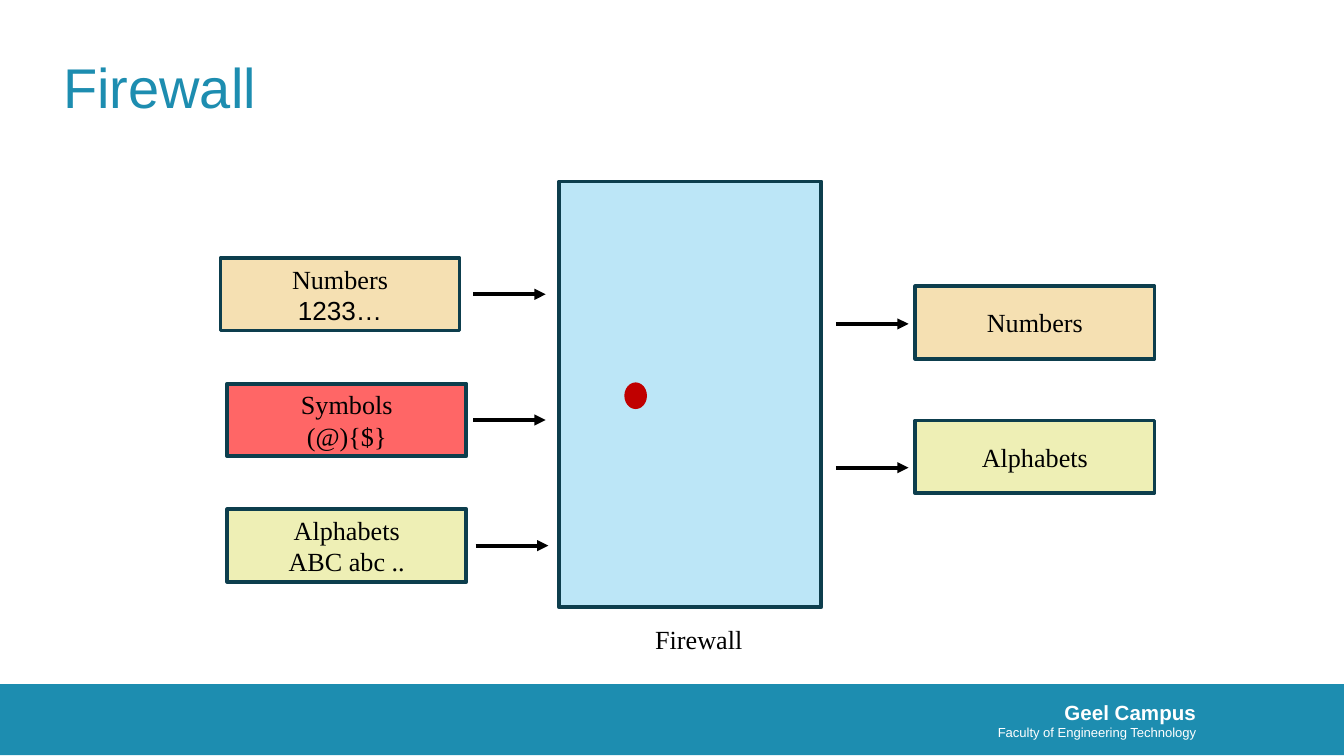
from lxml import etree
from pptx import Presentation
from pptx.dml.color import RGBColor
from pptx.enum import shapes, text
from pptx.oxml import ns
from pptx.util import Inches, Pt

WHITE = RGBColor(0xFF, 0xFF, 0xFF)
BLACK = RGBColor(0, 0, 0)
TEAL = RGBColor(0x1D, 0x8D, 0xB0)
OUTLINE = RGBColor(0x0D, 0x3E, 0x4D)
SKY = RGBColor(0xBA, 0xE5, 0xF7)
SAND = RGBColor(0xF5, 0xDF, 0xAF)
RED = RGBColor(0xFF, 0, 0)
LIME = RGBColor(0xEE, 0xEF, 0xB3)
DARK_RED = RGBColor(0xC0, 0, 0)
SANS, SERIF = "Arial", "Times New Roman"
BOX_W, BOX_H = 1.78, 0.54
ARROW_LENGTH = 0.54


def add_child(parent, tag, **attributes):
    return etree.SubElement(parent, ns.qn(tag), **attributes)


def write(frame, lines, align, color):
    """Each line is (wording, font name, size, bold)."""
    for i, (wording, name, size, bold) in enumerate(lines):
        paragraph = frame.paragraphs[0] if i == 0 else frame.add_paragraph()
        paragraph.text = wording
        paragraph.alignment = align
        font = paragraph.font
        font.name, font.size, font.bold = name, Pt(size), bold
        font.color.rgb = color


def set_margins(frame, right=0):
    frame.margin_left = frame.margin_top = frame.margin_bottom = 0
    frame.margin_right = Inches(right)


def add_box(slide, box, fill, line=None, opacity=100,
            kind=shapes.MSO_SHAPE.RECTANGLE):
    shape = slide.shapes.add_shape(kind, *map(Inches, box))
    shape.shadow.inherit = False
    shape.fill.solid()
    shape.fill.fore_color.rgb = fill
    if opacity < 100:
        color = shape.fill._xPr.find(".//" + ns.qn("a:srgbClr"))
        add_child(color, "a:alpha", val=str(opacity * 1000))
    if line is None:
        shape.line.fill.background()
    else:
        shape.line.color.rgb = line
        shape.line.width = Pt(2)
    return shape


def add_text(slide, box, lines, align, color):
    label = slide.shapes.add_textbox(*map(Inches, box))
    label.text_frame.word_wrap = True
    write(label.text_frame, lines, align, color)
    return label.text_frame


def add_arrow(slide, left, y):
    arrow = slide.shapes.add_connector(
        shapes.MSO_CONNECTOR.STRAIGHT, Inches(left), Inches(y),
        Inches(left + ARROW_LENGTH), Inches(y))
    arrow.line.color.rgb = BLACK
    arrow.line.width = Pt(2)
    add_child(arrow.line._get_or_add_ln(), "a:tailEnd", type="triangle")
    add_child(arrow._element.spPr, "a:effectLst")


def add_data_box(slide, left, top, fill, lines, opacity=96):
    data = add_box(slide, (left, top, BOX_W, BOX_H), fill, OUTLINE, opacity)
    frame = data.text_frame
    frame.word_wrap = True
    frame.vertical_anchor = text.MSO_ANCHOR.MIDDLE
    write(frame, [(wording, name, 14, False) for wording, name in lines],
          text.PP_ALIGN.CENTER, BLACK)


def add_footer(slide, left, top, width, height):
    add_box(slide, (left, top, width, height), TEAL)
    campus = add_text(slide, (left + 4.28, top - 0.01, 4.77, 0.55),
                      [("Geel Campus", SANS, 11, True),
                       ("Faculty of Engineering Technology", SANS, 7, False)],
                      text.PP_ALIGN.RIGHT, WHITE)
    set_margins(campus, right=0.15)
    campus.vertical_anchor = text.MSO_ANCHOR.MIDDLE


def add_title(slide, left, top, width, height):
    title = slide.shapes.title
    title.left, title.top = Inches(left), Inches(top)
    title.width, title.height = Inches(width), Inches(height)
    set_margins(title.text_frame)
    title.text_frame.vertical_anchor = text.MSO_ANCHOR.MIDDLE
    write(title.text_frame, [("Firewall", SANS, 30, False)],
          text.PP_ALIGN.LEFT, TEAL)


def add_firewall(slide, left, top, width, height):
    add_box(slide, (left, top, width, height), SKY, OUTLINE, 96)
    add_text(slide, (left - 1.46, top + height + 0.07, 5, 0.34),
             [("Firewall", SERIF, 14, False)], text.PP_ALIGN.CENTER, BLACK)
    # Blocked symbol
    add_box(slide, (left + 0.5, top + 1.51, 0.14, 0.17), DARK_RED, DARK_RED,
            kind=shapes.MSO_SHAPE.FLOWCHART_CONNECTOR)


def add_inputs(slide, left, top, height):
    # Box offset, arrow offset, fill, opacity, lines
    inputs = [
        (0, 1.88, SAND, 96, [("Numbers", SERIF), ("1233…", SANS)]),
        (0.05, 1.88, RED, 60, [("Symbols", SERIF), ("(@){$}", SERIF)]),
        (0.05, 1.9, LIME, 96, [("Alphabets", SERIF), ("ABC abc ..", SERIF)]),
    ]
    pitch = (height - BOX_H) / (len(inputs) - 1)
    for i, (shift, arrow_shift, fill, opacity, lines) in enumerate(inputs):
        y = top + i * pitch
        add_data_box(slide, left + shift, y, fill, lines, opacity)
        add_arrow(slide, left + arrow_shift, y + BOX_H / 2)


def add_outputs(slide, left, top):
    # Box offset, arrow offset, fill, wording
    outputs = [(0, 0.28, SAND, "Numbers"), (1, 1.35, LIME, "Alphabets")]
    for shift, arrow_shift, fill, wording in outputs:
        add_data_box(slide, left, top + shift, fill, [(wording, SERIF)])
        add_arrow(slide, left - 0.59, top + arrow_shift)


def main():
    deck = Presentation()
    # Widescreen 16:9
    deck.slide_width = Inches(10)
    deck.slide_height = deck.slide_width * 9 // 16
    slide = deck.slides.add_slide(deck.slide_layouts[5])
    add_footer(slide, 0, 5.09, 10, 0.53)
    add_title(slide, 0.47, 0.17, 9.06, 0.94)
    add_firewall(slide, 4.16, 1.35, 1.95, 3.17)
    add_inputs(slide, 1.64, 1.92, 2.41)
    add_outputs(slide, 6.81, 2.13)
    deck.save("out.pptx")


if __name__ == "__main__":
    main()
